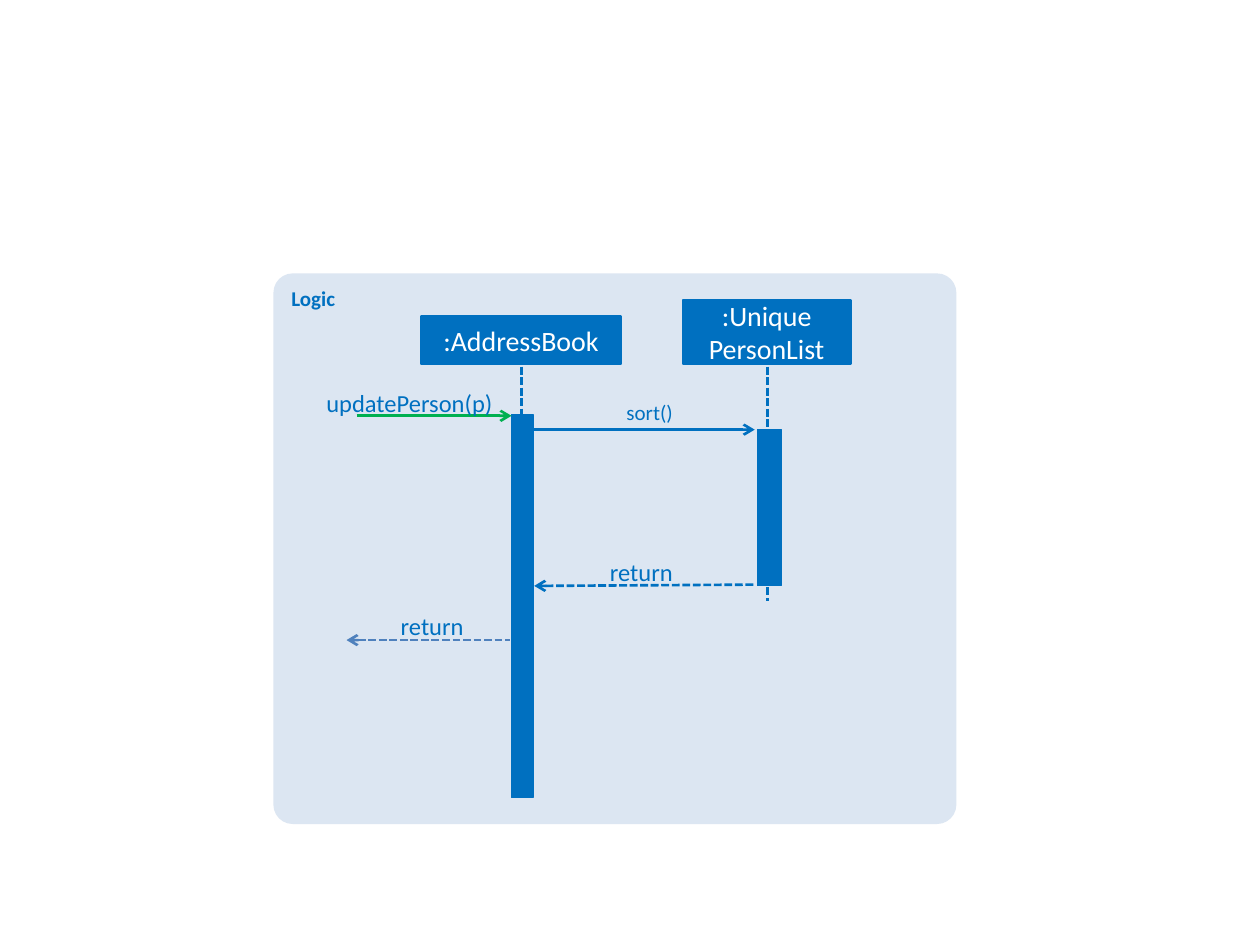
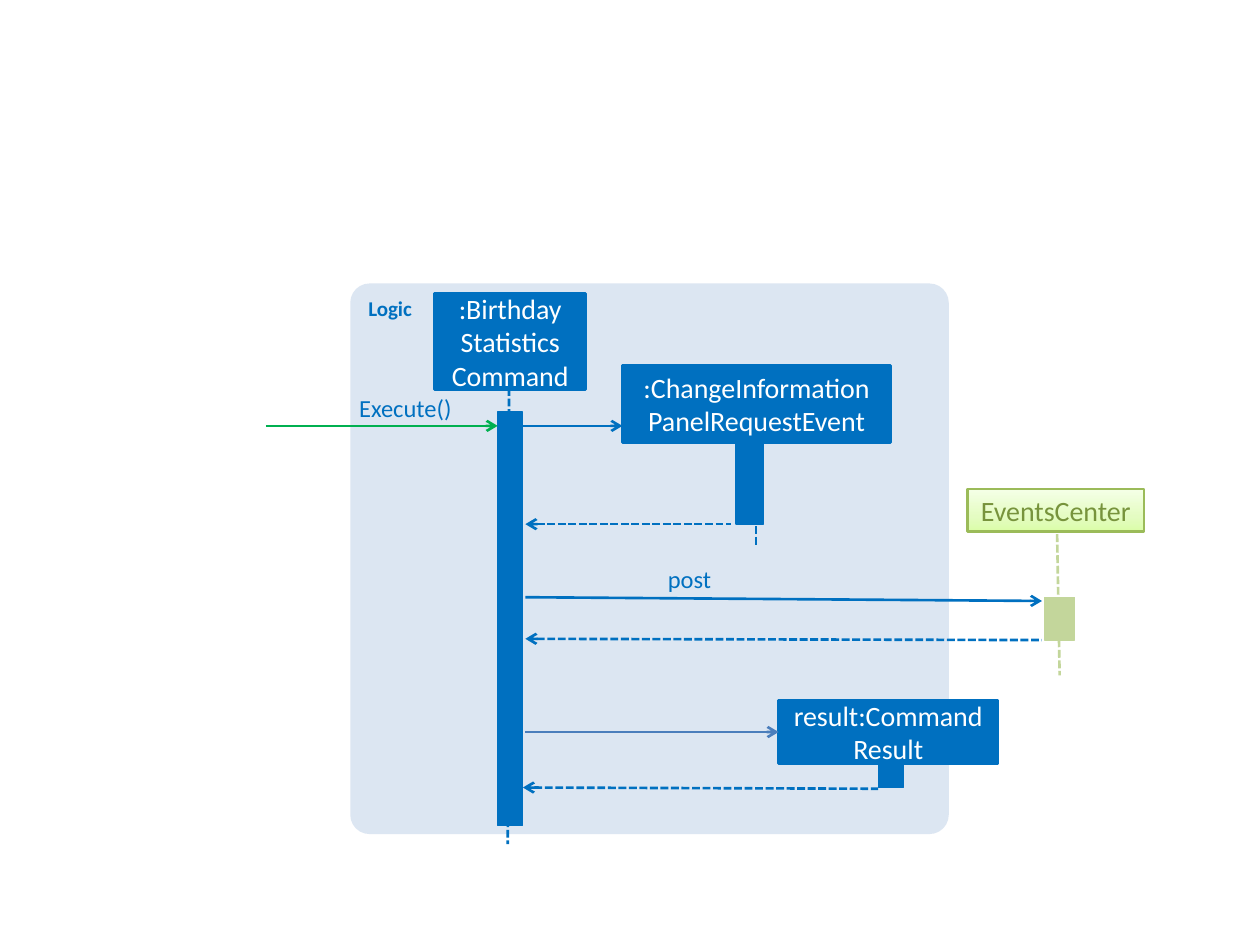
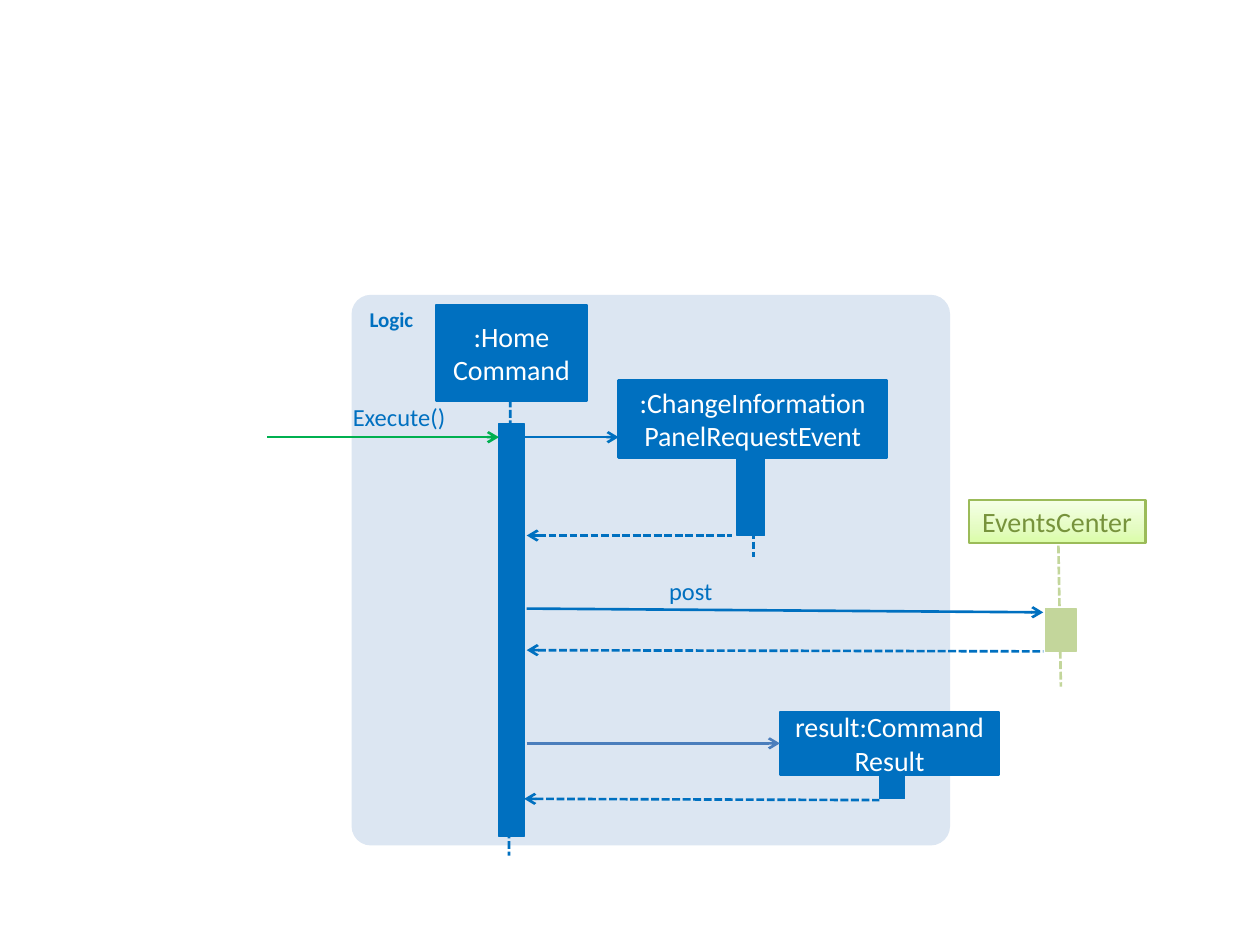
"""Build three sequence diagrams of the Logic component."""
from lxml import etree
from pptx import Presentation
from pptx.dml.color import RGBColor
from pptx.enum.dml import MSO_LINE
from pptx.enum.shapes import MSO_CONNECTOR, MSO_SHAPE
from pptx.enum.text import MSO_ANCHOR, MSO_AUTO_SIZE, PP_ALIGN
from pptx.oxml import parse_xml
from pptx.oxml.ns import nsdecls, qn
from pptx.util import Inches, Pt

BLUE, PANEL, WHITE, GREEN = "0070C0", "DCE6F2", "FFFFFF", "00B050"
STEEL, MID_BLUE = "4F81BD", "4B7EBC"
OLIVE, OLIVE_TEXT, PALE_OLIVE = "9BBB59", "77933C", "C3D69B"
OLIVE_STOPS = ((0, "DAFDA7"), (35, "E4FCC2"), (100, "F5FFE7"))


def color(value):
    return RGBColor.from_string(value)


class SequenceDiagram:
    font_name = "Calibri"
    line_width = 1.5

    def __init__(self, presentation, shift=(0, 0)):
        self.slide = presentation.slides.add_slide(presentation.slide_layouts[6])
        self.shift = shift

    def place(self, x, y):
        return Inches(x + self.shift[0]), Inches(y + self.shift[1])

    def add_text(self, frame, paragraphs, size, text_color, align=PP_ALIGN.LEFT, bold=False):
        frame.word_wrap = True
        for index, text in enumerate(paragraphs):
            paragraph = frame.add_paragraph() if index else frame.paragraphs[0]
            paragraph.alignment = align
            for number, part in enumerate(text.split("\n")):
                if number:
                    paragraph.add_line_break()
                run = paragraph.add_run()
                run.text = part
                run.font.name = self.font_name
                run.font.size = Pt(size)
                run.font.bold = bold
                run.font.color.rgb = color(text_color)

    def block(self, x, y, width, height, fill, line=None, line_width=0.75, kind=MSO_SHAPE.RECTANGLE):
        shape = self.slide.shapes.add_shape(kind, *self.place(x, y), Inches(width), Inches(height))
        shape.shadow.inherit = False
        shape.fill.solid()
        shape.fill.fore_color.rgb = color(fill)
        if line:
            shape.line.color.rgb = color(line)
            shape.line.width = Pt(line_width)
        else:
            shape.line.fill.background()
        return shape

    def panel(self, x, y, width, height):
        shape = self.block(x, y, width, height, PANEL, kind=MSO_SHAPE.ROUNDED_RECTANGLE)
        shape.adjustments[0] = 0.035
        shape.text_frame.vertical_anchor = MSO_ANCHOR.TOP
        self.add_text(shape.text_frame, ["Logic"], 12, BLUE, bold=True)

    def participant(self, x, y, width, height, *names, line=BLUE, text_color=WHITE, stops=None):
        shape = self.block(x, y, width, height, BLUE, line, self.line_width)
        if stops:
            self.gradient(shape, stops)
        shape.text_frame.vertical_anchor = MSO_ANCHOR.MIDDLE
        self.add_text(shape.text_frame, names, 16, text_color, PP_ALIGN.CENTER)

    def gradient(self, shape, stops):
        stop_xml = "".join(
            f'<a:gs pos="{position * 1000}"><a:srgbClr val="{value}"/></a:gs>' for position, value in stops
        )
        gradient = parse_xml(
            f'<a:gradFill {nsdecls("a")} rotWithShape="1"><a:gsLst>{stop_xml}</a:gsLst>'
            '<a:lin ang="16200000" scaled="0"/></a:gradFill>'
        )
        properties = shape.element.spPr
        properties.replace(properties.find(qn("a:solidFill")), gradient)

    def activation(self, x, y, width, height, fill=BLUE):
        self.block(x, y, width, height, fill, fill)

    def line(self, start, end, line_color=BLUE, dashed=False, arrow=None):
        connector = self.slide.shapes.add_connector(
            MSO_CONNECTOR.STRAIGHT, *self.place(*start), *self.place(*end)
        )
        connector.line.color.rgb = color(line_color)
        connector.line.width = Pt(self.line_width)
        if dashed:
            connector.line.dash_style = MSO_LINE.SQUARE_DOT
        properties = connector.element.spPr
        if arrow:
            etree.SubElement(properties.find(qn("a:ln")), qn(f"a:{arrow}End"), type="arrow")
        etree.SubElement(properties, qn("a:effectLst"))

    def lifeline(self, start, end, line_color=BLUE):
        self.line(start, end, line_color, dashed=True)

    def call(self, start, end, line_color=BLUE):
        self.line(start, end, line_color, arrow="tail")

    def reply(self, target, source, line_color=BLUE):
        self.line(target, source, line_color, dashed=True, arrow="head")

    def label(self, x, y, width, text, size=14, align=PP_ALIGN.LEFT):
        box = self.slide.shapes.add_textbox(*self.place(x, y), Inches(width), Inches(size * 0.017))
        frame = box.text_frame
        frame.margin_left = frame.margin_right = frame.margin_top = frame.margin_bottom = 0
        frame.auto_size = MSO_AUTO_SIZE.SHAPE_TO_FIT_TEXT
        self.add_text(frame, [text], size, BLUE, align)


def draw_update(presentation):
    diagram = SequenceDiagram(presentation)
    diagram.panel(2.17, 2.17, 5.42, 4.37)
    diagram.participant(3.34, 2.51, 1.59, 0.38, ":AddressBook")
    diagram.lifeline((4.14, 2.91), (4.14, 5.75))
    diagram.activation(4.06, 3.29, 0.17, 3.04)
    diagram.participant(5.42, 2.38, 1.33, 0.51, ":Unique", "PersonList")
    diagram.lifeline((6.09, 2.91), (6.09, 4.77))
    diagram.activation(6.01, 3.41, 0.19, 1.24)
    diagram.call((2.83, 3.3), (4.06, 3.3), GREEN)
    diagram.call((4.22, 3.41), (5.99, 3.41))
    diagram.reply((4.24, 4.65), (5.99, 4.64))
    diagram.reply((2.75, 5.08), (4.05, 5.08), STEEL)
    for x, y, width, text, size in (
        (2.08, 3.08, 1.83, "updatePerson(p)", 14),
        (4.51, 4.42, 0.83, "return", 14),
        (4.26, 3.17, 1.08, "sort()", 12),
        (2.85, 4.85, 0.83, "return", 14),
    ):
        diagram.label(x, y, width, text, size, PP_ALIGN.RIGHT)


def draw_command(presentation, shift, names, execute_at, event_at, event_axis):
    diagram = SequenceDiagram(presentation, shift)
    event_x, event_y = event_at
    event_bottom = event_y + 0.61
    diagram.panel(2.78, 2.25, 4.75, 4.37)
    diagram.participant(3.45, 2.33, 1.2, 0.76, *names)
    diagram.lifeline((4.04, 3.08), (4.03, 6.7))
    diagram.activation(3.95, 3.27, 0.2, 3.28)
    diagram.label(*execute_at, 1.64, "Execute()")
    diagram.call((4.15, 3.38), (event_x, 3.38))
    diagram.reply((4.17, 4.16), (5.8, 4.16))
    diagram.activation(6.97, 6.06, 0.2, 0.19)
    diagram.call((4.17, 4.74), (8.27, 4.77))
    diagram.reply((4.17, 5.07), (8.27, 5.08))
    diagram.participant(6.18, 5.56, 1.74, 0.5, "result:Command Result")
    diagram.reply((4.15, 6.25), (6.97, 6.26))
    diagram.participant(event_x, event_y, 2.13, 0.61, ":ChangeInformation", "PanelRequestEvent")
    diagram.call((4.17, 5.81), (6.18, 5.81), MID_BLUE)
    diagram.call((2.11, 3.38), (3.95, 3.38), GREEN)
    diagram.lifeline((event_axis, event_bottom), (event_axis, 4.33))
    diagram.activation(5.84, 3.51, 0.22, 0.65)
    diagram.participant(
        7.68, 3.88, 1.4, 0.34, "EventsCenter", line=OLIVE, text_color=OLIVE_TEXT, stops=OLIVE_STOPS
    )
    diagram.activation(8.29, 4.74, 0.24, 0.34, PALE_OLIVE)
    diagram.lifeline((8.39, 4.24), (8.41, 5.36), PALE_OLIVE)
    diagram.label(5.3, 4.48, 0.38, "post")


def main():
    presentation = Presentation()
    presentation.slide_width = Inches(10)
    presentation.slide_height = Inches(7.5)
    draw_update(presentation)
    draw_command(
        presentation, (0, 0), (":Birthday", "Statistics\nCommand"), (2.85, 3.12), (4.94, 2.9), 6
    )
    draw_command(
        presentation, (0.01, 0.09), (":Home\nCommand",), (2.79, 3.1), (4.9, 2.93), 5.97
    )
    presentation.save("out.pptx")


main()
